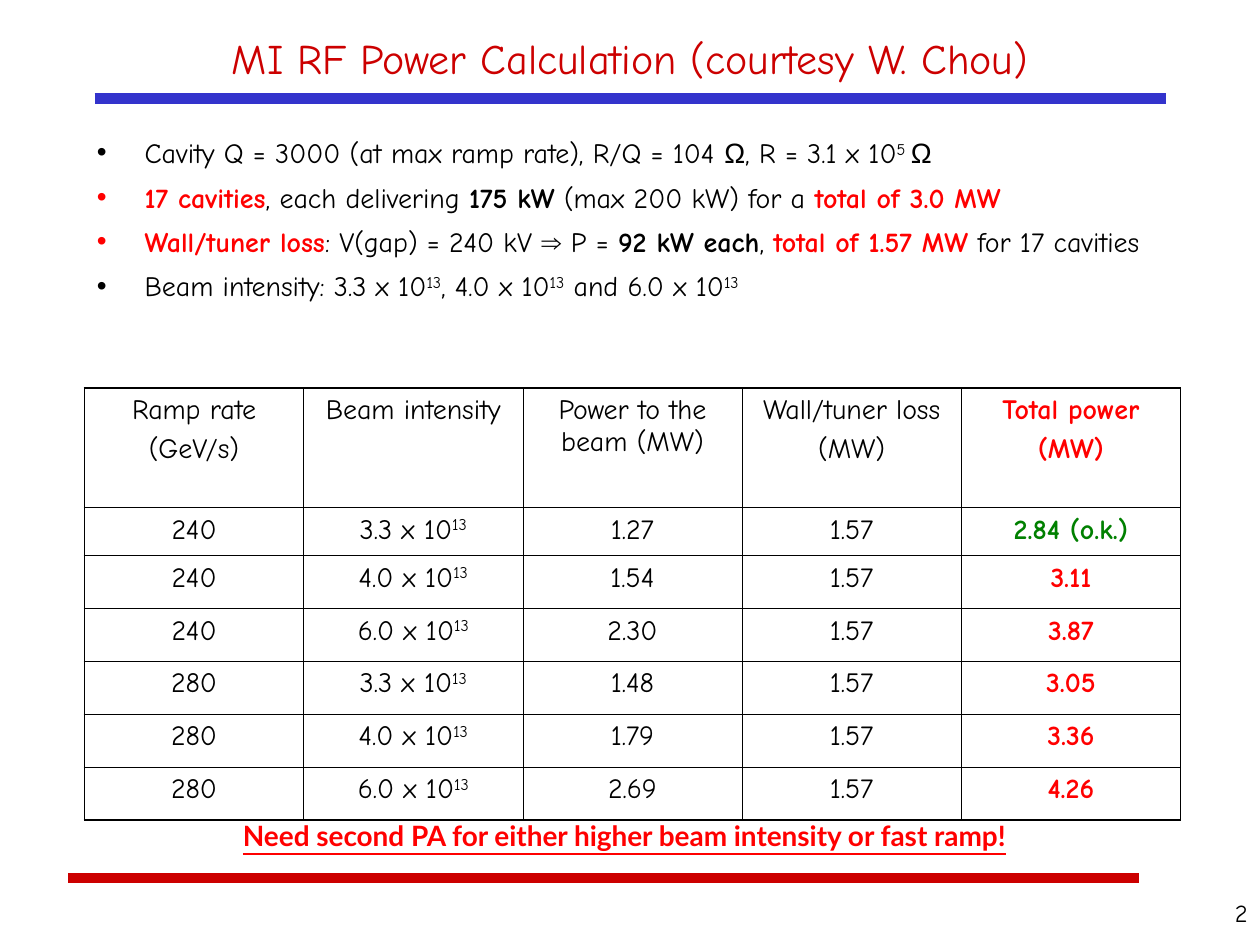
from lxml.etree import SubElement
from pptx import Presentation
from pptx.dml.color import RGBColor
from pptx.enum.shapes import MSO_CONNECTOR
from pptx.enum.text import MSO_ANCHOR, PP_ALIGN
from pptx.oxml.ns import qn
from pptx.util import Inches, Pt

COLORS = {"black": "000000", "red": "FF0000", "green": "008000",
          "title": "CC0000", "blue": "3333CC"}
STYLES = {
    "plain": {},
    "bold": {"bold": True},
    "red": {"bold": True, "color": "red"},
    "green": {"bold": True, "color": "green"},
    "title": {"size": Pt(24), "color": "title"},
    "note": {"name": "Lato", "bold": True, "underline": True, "color": "red"},
    "page": {"size": Pt(14)},
    "sym": {"name": "Arial"},
    "sup": {"base": 30},
}


def tint(name):
    """Return the named colour."""
    return RGBColor.from_string(COLORS[name])


def power(num, unit="13"):
    """Return the runs of a number times a power of ten."""
    return [(f"{num} x 10", "plain"), (unit, "sup")]


class Deck:
    """Hold the style and the current slide."""

    def __init__(self, show):
        """Add a title-only slide to the show."""
        self.font = {"name": "Comic Neue", "size": Pt(16), "bold": False, "color": "black"}
        self.slide = show.slides.add_slide(show.slide_layouts[5])

    def fill(self, para, runs, **form):
        """Fill a paragraph with styled runs."""
        for key, value in form.items():
            setattr(para, key, value)
        for text, style in runs:
            run = para.add_run()
            run.text = text
            look = {**self.font, **STYLES[style]}
            run.font.color.rgb = tint(look.pop("color"))
            base = look.pop("base", 0)
            if base:
                run.font._element.set("baseline", str(base * 1000))
            for key, value in look.items():
                setattr(run.font, key, value)

    def title(self, text, box):
        """Move and format the title."""
        shape = self.slide.shapes.title
        shape.left, shape.top, shape.width, shape.height = map(Inches, box)
        shape.text_frame.vertical_anchor = MSO_ANCHOR.MIDDLE
        self.fill(shape.text_frame.paragraphs[0], [(text, "title")], alignment=PP_ALIGN.CENTER)

    def text(self, runs, box, indent=0, **form):
        """Add a text box of one paragraph."""
        frame = self.slide.shapes.add_textbox(*map(Inches, box)).text_frame
        frame.word_wrap = True
        para = frame.paragraphs[0]
        if indent:
            para._p.get_or_add_pPr().set("marL", str(Inches(indent)))
        self.fill(para, runs, **form)

    def bullets(self, items, box, indent):
        """Add a bulleted list whose bullets match the first run."""
        frame = self.slide.shapes.add_textbox(*map(Inches, box)).text_frame
        frame.word_wrap = True
        for i, runs in enumerate(items):
            para = frame.add_paragraph() if i else frame.paragraphs[0]
            props = para._p.get_or_add_pPr()
            props.set("marL", str(Inches(indent)))
            props.set("indent", str(-Inches(indent)))
            color = STYLES[runs[0][1]].get("color", "black")
            SubElement(SubElement(props, qn("a:buClr")), qn("a:srgbClr"), val=COLORS[color])
            SubElement(props, qn("a:buFont"), typeface="Arial")
            SubElement(props, qn("a:buChar"), char="•")
            self.fill(para, runs, line_spacing=0.8, space_before=Pt(10 if i else 0))

    def rule(self, left, top, width, color):
        """Add a thick horizontal line."""
        ends = map(Inches, (left, top, left + width, top))
        line = self.slide.shapes.add_connector(MSO_CONNECTOR.STRAIGHT, *ends)
        line.line.color.rgb = tint(color)
        line.line.width = Pt(6)
        SubElement(line._element.spPr, qn("a:effectLst"))

    def border(self, cell, outer):
        """Draw cell borders, thicker on the outer sides."""
        props = cell._tc.get_or_add_tcPr()
        for side, thick in outer.items():
            line = SubElement(props, qn(f"a:ln{side}"), w=str(Pt(1.08 if thick else 0.45)))
            paint = SubElement(line, qn("a:solidFill"))
            SubElement(paint, qn("a:srgbClr"), val=COLORS["black"])

    def table(self, rows, box, heights):
        """Add a table with equal columns; a cell is a list of paragraphs."""
        last, end = len(rows) - 1, len(rows[0]) - 1
        grid = self.slide.shapes.add_table(last + 1, end + 1, *map(Inches, box)).table
        grid.first_row = grid.horz_banding = False
        for r, row in enumerate(rows):
            grid.rows[r].height = Inches(heights[r])
            for c, paras in enumerate(row):
                cell = grid.cell(r, c)
                self.border(cell, {"L": c == 0, "R": c == end, "T": r == 0, "B": r == last})
                cell.fill.background()
                frame = cell.text_frame
                for i, runs in enumerate(paras):
                    para = frame.add_paragraph() if i else frame.paragraphs[0]
                    self.fill(para, runs, alignment=PP_ALIGN.CENTER,
                              space_before=Pt(4 if i else 0))


def main():
    """Build the slide and save it."""
    show = Presentation()
    show.slide_width, show.slide_height = Inches(10), Inches(7.5)
    deck = Deck(show)
    deck.rule(0.54, 6.97, 8.5, "title")
    deck.rule(0.75, 0.78, 8.5, "blue")
    deck.title("MI RF Power Calculation (courtesy W. Chou)", (0.75, 0.17, 8.5, 0.58))

    items = [
        [("Cavity Q = 3000 (at max ramp rate), R/Q = 104 ", "plain"), ("Ω", "sym"),
         (", R = 3.1 x 10", "plain"), ("5 ", "sup"), ("Ω", "sym")],
        [("17 cavities", "red"), (", each delivering ", "plain"), ("175 kW", "bold"),
         (" (max 200 kW) for a ", "plain"), ("total of 3.0 MW", "red")],
        [("Wall/tuner loss", "red"), (": V(gap) = 240 kV ", "plain"), ("⇒", "sym"),
         (" P = ", "plain"), ("92 kW each", "bold"), (", ", "plain"),
         ("total of 1.57 MW", "red"), (" for 17 cavities", "plain")],
        [*power("Beam intensity: 3.3"), *power(", 4.0"), *power(" and 6.0")],
    ]
    deck.bullets(items, (0.67, 1.08, 8.7, 1.42), 0.38)

    heads = [["Ramp rate", "(GeV/s)"], ["Beam intensity"], ["Power to the beam (MW)"],
             ["Wall/tuner loss", "(MW)"], ["Total power", "(MW)"]]
    data = [
        ("240", "3.3", "1.27", "2.84 (o.k.)"),
        ("240", "4.0", "1.54", "3.11"),
        ("240", "6.0", "2.30", "3.87"),
        ("280", "3.3", "1.48", "3.05"),
        ("280", "4.0", "1.79", "3.36"),
        ("280", "6.0", "2.69", "4.26"),
    ]
    rows = [[[[(text, "red" if head is heads[-1] else "plain")] for text in head]
             for head in heads]]
    for ramp, beam, load, total in data:
        style = "green" if "o.k." in total else "red"
        cells = [[(ramp, "plain")], power(beam), [(load, "plain")],
                 [("1.57", "plain")], [(total, style)]]
        rows.append([[runs] for runs in cells])
    deck.table(rows, (0.67, 3.08, 8.7, 3.42), [0.95, 0.38] + [0.42] * 5)

    note = "Need second PA for either higher beam intensity or fast ramp!"
    deck.text([(note, "note")], (0.83, 6.5, 8.17, 0.32), indent=1, line_spacing=0.8)
    deck.text([("2", "page")], (9.08, 7.08, 0.92, 0.42), alignment=PP_ALIGN.RIGHT)
    show.save("out.pptx")


if __name__ == "__main__":
    main()
